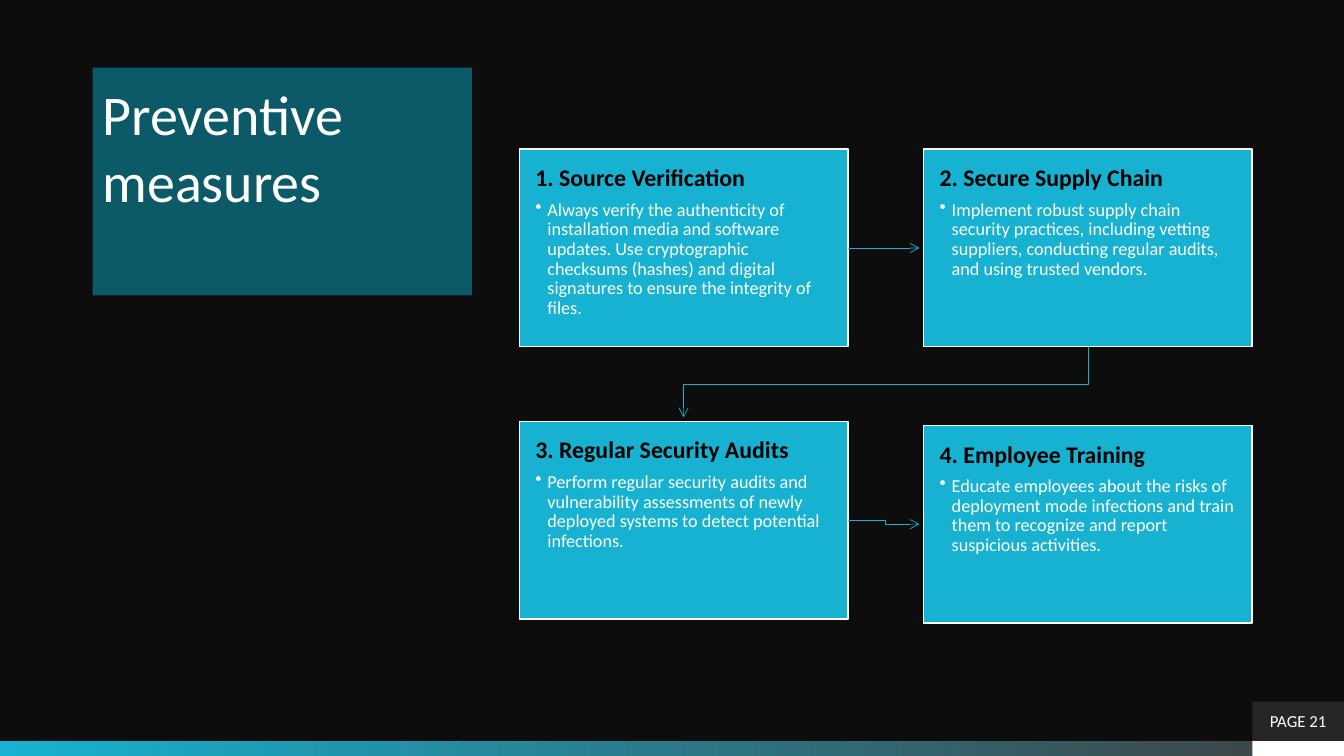
from lxml import etree
from pptx import Presentation
from pptx.dml.color import RGBColor
from pptx.enum.shapes import MSO_CONNECTOR, MSO_SHAPE
from pptx.enum.text import MSO_ANCHOR, PP_ALIGN
from pptx.oxml.ns import qn
from pptx.util import Inches, Pt

RECT = MSO_SHAPE.RECTANGLE
STRAIGHT = MSO_CONNECTOR.STRAIGHT
TOP, MIDDLE = MSO_ANCHOR.TOP, MSO_ANCHOR.MIDDLE
LEFT, CENTER = PP_ALIGN.LEFT, PP_ALIGN.CENTER

# Content
TITLE = "Preventive measures"
PAGE = "PAGE 21"
STEPS = [
    ("1. Source Verification",
     "Always verify the authenticity of installation media and software updates. "
     "Use cryptographic checksums (hashes) and digital signatures to ensure the "
     "integrity of files."),
    ("2. Secure Supply Chain",
     "Implement robust supply chain security practices, including vetting "
     "suppliers, conducting regular audits, and using trusted vendors."),
    ("3. Regular Security Audits",
     "Perform regular security audits and vulnerability assessments of newly "
     "deployed systems to detect potential infections."),
    ("4. Employee Training",
     "Educate employees about the risks of deployment mode infections and train "
     "them to recognize and report suspicious activities."),
]

# Style and layout
FONT = "Calibri"
BLACK, WHITE, CYAN = "000000", "FFFFFF", "17B2D1"
WIDE, HIGH = 13.33, 7.5
CARD_W, CARD_H = 3.26, 1.96
COLS = (5.15, 9.16)
TOPS = (1.48, 1.48, 4.18, 4.22)
GAP = 0.04  # space between an arrow tip and its card


def paint(target, color):
    target.solid()
    target.fore_color.rgb = RGBColor.from_string(color)


def add_box(slide, x, y, w, h, color):
    box = slide.shapes.add_shape(RECT, Inches(x), Inches(y), Inches(w), Inches(h))
    box.shadow.inherit = False
    box.line.fill.background()
    paint(box.fill, color)
    return box


def set_frame(box, side, edge, anchor):
    frame = box.text_frame
    frame.word_wrap = True
    frame.margin_left = frame.margin_right = Inches(side)
    frame.margin_top = frame.margin_bottom = Inches(edge)
    frame.vertical_anchor = anchor
    return frame


def write(para, text, size, color, align=LEFT, bold=False):
    para.text = text
    para.alignment = align
    font = para.runs[0].font
    font.name, font.size, font.bold = FONT, Pt(size), bold
    paint(font.fill, color)


def add_bullet(para):
    props = para._p.get_or_add_pPr()
    props.set("marL", str(Inches(0.12)))
    props.set("indent", str(-Inches(0.12)))
    etree.SubElement(props, qn("a:buChar")).set("char", "•")


def add_card(slide, x, y, head, body):
    card = add_box(slide, x, y, CARD_W, CARD_H, CYAN)
    paint(card.line.fill, WHITE)
    card.line.width = Pt(1)
    frame = set_frame(card, 0.16, 0.17, TOP)
    first, second = frame.paragraphs[0], frame.add_paragraph()
    write(first, head, 17, BLACK, bold=True)
    first.space_after = Pt(6)
    add_bullet(second)
    write(second, body, 13, WHITE)
    for para in (first, second):
        para.line_spacing = 0.9
    return card


def style_arrow(shape):
    paint(shape.line.fill, CYAN)
    shape.line.width = Pt(0.5)
    tail = etree.SubElement(shape.line._get_or_add_ln(), qn("a:tailEnd"))
    tail.set("type", "arrow")


def add_bend(slide, points):
    dots = [(Inches(x), Inches(y)) for x, y in points]
    maker = slide.shapes.build_freeform(*dots[0])
    maker.add_line_segments(dots[1:], close=False)
    bend = maker.convert_to_shape()
    bend.shadow.inherit = False
    bend.fill.background()
    style_arrow(bend)


def main():
    deck = Presentation()
    deck.slide_width, deck.slide_height = Inches(WIDE), Inches(HIGH)
    slide = deck.slides.add_slide(deck.slide_layouts[6])
    paint(slide.background.fill, "0D0D0D")

    # Footer band and page tag
    band = add_box(slide, 0, 7.35, WIDE, 0.15, CYAN)
    band.fill.gradient()
    band.fill.gradient_angle = 0
    for stop, color in zip(band.fill.gradient_stops, (CYAN, "404040")):
        stop.color.rgb = RGBColor.from_string(color)
    add_box(slide, 12.42, 7.35, 0.91, 0.15, WHITE)
    tag = add_box(slide, 12.42, 6.96, 0.91, 0.39, "262626")
    write(set_frame(tag, 0.1, 0.05, MIDDLE).paragraphs[0], PAGE, 12, WHITE, CENTER)

    # Title
    title = add_box(slide, 0.92, 0.67, 3.76, 2.26, "0C5968")
    write(set_frame(title, 0.1, 0.12, TOP).paragraphs[0], TITLE, 40, WHITE)

    # Cards
    cards = [add_card(slide, COLS[i % 2], TOPS[i], *step)
             for i, step in enumerate(STEPS)]

    # Arrows from card to card
    start, tip = COLS[0] + CARD_W, COLS[1] - GAP
    mids = [top + CARD_H / 2 for top in TOPS]
    link = slide.shapes.add_connector(
        STRAIGHT, Inches(start), Inches(mids[0]), Inches(tip), Inches(mids[0]))
    link.begin_connect(cards[0], 3)
    style_arrow(link)
    etree.SubElement(link._element.spPr, qn("a:effectLst"))

    left, right = (x + CARD_W / 2 for x in COLS)
    base = TOPS[1] + CARD_H
    turn = (base + TOPS[2]) / 2
    add_bend(slide, [(right, base), (right, turn), (left, turn), (left, TOPS[2] - GAP)])

    turn = (start + COLS[1]) / 2
    add_bend(slide, [(start, mids[2]), (turn, mids[2]), (turn, mids[3]), (tip, mids[3])])

    deck.save("out.pptx")


if __name__ == "__main__":
    main()
